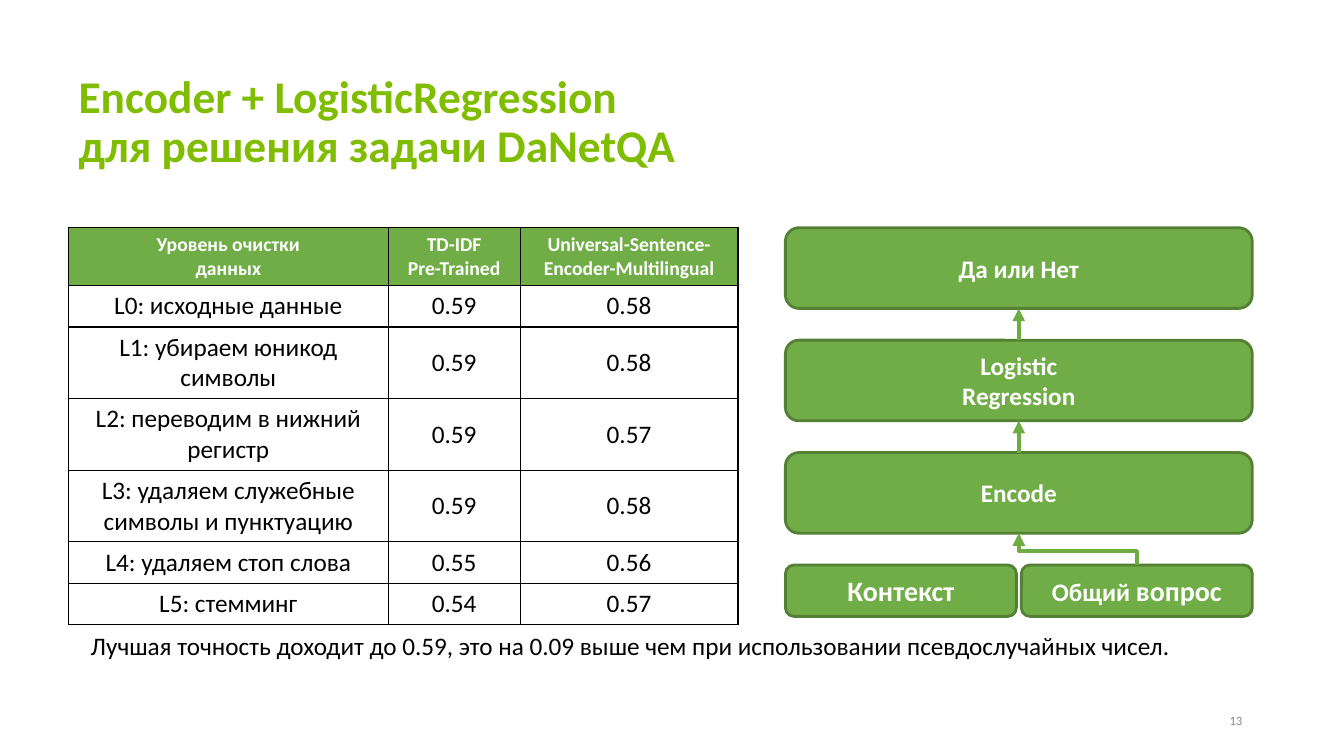
from lxml import etree
from pptx import Presentation
from pptx.dml.color import RGBColor
from pptx.enum.dml import MSO_LINE
from pptx.enum.shapes import MSO_CONNECTOR, MSO_SHAPE
from pptx.enum.text import MSO_ANCHOR, MSO_AUTO_SIZE, PP_ALIGN
from pptx.oxml.ns import qn
from pptx.util import Inches, Pt

SOLID = MSO_LINE.SOLID
STRAIGHT, ELBOW = MSO_CONNECTOR.STRAIGHT, MSO_CONNECTOR.ELBOW
ROUNDED = MSO_SHAPE.ROUNDED_RECTANGLE
TOP, MIDDLE = MSO_ANCHOR.TOP, MSO_ANCHOR.MIDDLE
NO_FIT = MSO_AUTO_SIZE.NONE
LEFT, CENTER, RIGHT = PP_ALIGN.LEFT, PP_ALIGN.CENTER, PP_ALIGN.RIGHT
TOP_SIDE, BOTTOM_SIDE = 0, 2

FONT = "Calibri"
LIME = RGBColor(0x80, 0xBC, 0x00)
GREEN = RGBColor(0x70, 0xAD, 0x47)
DARK_GREEN = RGBColor(0x53, 0x80, 0x35)
ARROW_GREEN = RGBColor(0x6D, 0xAC, 0x43)
GRAY = RGBColor(0x88, 0x88, 0x88)
BLACK = RGBColor(0, 0, 0)
WHITE = RGBColor(0xFF, 0xFF, 0xFF)

MARGIN = 0.68
CONTENT_TOP = 2.26
DIAGRAM_LEFT, DIAGRAM_WIDTH = 7.79, 4.63
STAGE_HEIGHT, STAGE_STEP = 0.8, 1.115
INPUT_WIDTH, INPUT_HEIGHT = 2.29, 0.51

HEADER = ["Уровень очистки\nданных", "TD-IDF\nPre-Trained",
          "Universal-Sentence-Encoder-Multilingual"]
RESULTS = [
    ("L0: исходные данные", "0.59", "0.58"),
    ("L1: убираем юникод символы", "0.59", "0.58"),
    ("L2: переводим в нижний регистр", "0.59", "0.57"),
    ("L3: удаляем служебные символы и пунктуацию", "0.59", "0.58"),
    ("L4: удаляем стоп слова", "0.55", "0.56"),
    ("L5: стемминг", "0.54", "0.57"),
]
COLUMN_WIDTHS = [3.17, 1.31, 2.16]
ROW_HEIGHTS = [0.57, 0.41, 0.71, 0.71, 0.71, 0.41, 0.41]


def place(shape, left, top, width, height):
    shape.left, shape.top = Inches(left), Inches(top)
    shape.width, shape.height = Inches(width), Inches(height)


def format_text(frame, size, color, align, bold=False):
    for paragraph in frame.paragraphs:
        paragraph.alignment = align
        for run in paragraph.runs:
            run.font.name = FONT
            run.font.size = Pt(size)
            run.font.bold = bold
            run.font.color.rgb = color


def fill_placeholder(placeholder, text, size, color, bold=False):
    frame = placeholder.text_frame
    frame.text = text
    frame.auto_size = NO_FIT
    frame.word_wrap = True
    frame.vertical_anchor = TOP
    format_text(frame, size, color, LEFT, bold)
    frame.paragraphs[0].line_spacing = 0.9
    return frame.paragraphs[0]


def add_box(slide, left, top, width, height, label, size=18):
    box = slide.shapes.add_shape(ROUNDED, Inches(left), Inches(top),
                                 Inches(width), Inches(height))
    box.shadow.inherit = False
    box.fill.solid()
    box.fill.fore_color.rgb = GREEN
    box.line.color.rgb = DARK_GREEN
    box.line.width = Pt(2)
    box.text_frame.text = label
    box.text_frame.vertical_anchor = MIDDLE
    format_text(box.text_frame, size, WHITE, CENTER, True)
    return box


def add_arrow_up(slide, lower, upper, kind=STRAIGHT):
    arrow = slide.shapes.add_connector(kind, 0, 0, 0, 0)
    arrow.begin_connect(lower, TOP_SIDE)
    arrow.end_connect(upper, BOTTOM_SIDE)
    arrow.line.color.rgb = ARROW_GREEN
    arrow.line.width = Pt(3)
    line = arrow.line._get_or_add_ln()
    etree.SubElement(line, qn("a:tailEnd"), type="triangle")
    etree.SubElement(arrow._element.spPr, qn("a:effectLst"))
    return arrow


def turn_elbow(arrow, bend):
    """Make an elbow to the upper left leave and arrive vertically."""
    left, top, width, height = arrow.left, arrow.top, arrow.width, arrow.height
    arrow.left = left + (width - height) // 2
    arrow.top = top + (height - width) // 2
    arrow.width, arrow.height = height, width
    properties = arrow._element.spPr
    frame = properties.find(qn("a:xfrm"))
    for name, value in (("rot", "16200000"), ("flipH", "0"), ("flipV", "1")):
        frame.set(name, value)
    guides = properties.find(qn("a:prstGeom")).get_or_add_avLst()
    etree.SubElement(guides, qn("a:gd"), name="adj1", fmla=f"val {bend}")


def add_borders(cell):
    properties = cell._tc.get_or_add_tcPr()
    for side in ("lnL", "lnR", "lnT", "lnB"):
        line = etree.SubElement(properties, qn(f"a:{side}"), w=str(Pt(1)))
        fill = etree.SubElement(line, qn("a:solidFill"))
        etree.SubElement(fill, qn("a:srgbClr"), val=str(BLACK))
        etree.SubElement(line, qn("a:prstDash"), val="solid")


def add_results_table(slide):
    rows = [HEADER, *RESULTS]
    table = slide.shapes.add_table(
        len(rows), len(HEADER), Inches(MARGIN), Inches(CONTENT_TOP),
        Inches(sum(COLUMN_WIDTHS)), Inches(sum(ROW_HEIGHTS))).table
    table.first_row = True
    table.horz_banding = False
    for column, width in zip(table.columns, COLUMN_WIDTHS):
        column.width = Inches(width)
    for row_index, (row, height) in enumerate(zip(rows, ROW_HEIGHTS)):
        table.rows[row_index].height = Inches(height)
        is_header = row_index == 0
        for column_index, text in enumerate(row):
            cell = table.cell(row_index, column_index)
            add_borders(cell)
            cell.fill.solid()
            cell.fill.fore_color.rgb = GREEN if is_header else WHITE
            cell.vertical_anchor = TOP if is_header else MIDDLE
            cell.text_frame.text = text
            format_text(cell.text_frame, 14 if is_header else 18,
                        WHITE if is_header else BLACK, CENTER, is_header)


def add_diagram(slide):
    answer, regression, encoder = [
        add_box(slide, DIAGRAM_LEFT, CONTENT_TOP + level * STAGE_STEP,
                DIAGRAM_WIDTH, STAGE_HEIGHT, label)
        for level, label in enumerate(
            ["Да или Нет", "Logistic\nRegression", "Encode"])]
    input_top = CONTENT_TOP + 3 * STAGE_STEP
    question_left = DIAGRAM_LEFT + DIAGRAM_WIDTH - INPUT_WIDTH
    add_box(slide, DIAGRAM_LEFT, input_top, INPUT_WIDTH, INPUT_HEIGHT,
            "Контекст", 20)
    question = add_box(slide, question_left, input_top, INPUT_WIDTH,
                       INPUT_HEIGHT, "Общий ")
    question.text_frame.paragraphs[0].add_run().text = "вопрос"
    format_text(question.text_frame, 20, WHITE, CENTER, True)
    question.text_frame.paragraphs[0].runs[0].font.size = Pt(18)

    turn_elbow(add_arrow_up(slide, question, encoder, ELBOW), 43400)
    add_arrow_up(slide, encoder, regression)
    add_arrow_up(slide, regression, answer)


def add_slide_number(slide, number):
    box = slide.shapes.add_textbox(Inches(11.67), Inches(6.95),
                                   Inches(0.75), Inches(0.4))
    box.text_frame.word_wrap = True
    box.text_frame.vertical_anchor = MIDDLE
    box.text_frame.text = number
    format_text(box.text_frame, 9, GRAY, RIGHT)


def main():
    deck = Presentation()
    deck.slide_width, deck.slide_height = Inches(13.33), Inches(7.5)
    slide = deck.slides.add_slide(deck.slide_layouts[1])
    title, conclusion = slide.placeholders

    place(title, MARGIN, 0.69, 8.25, 1.01)
    fill_placeholder(
        title, "Encoder + LogisticRegression\vдля решения задачи DaNetQA",
        32.4, LIME, True)

    place(conclusion, MARGIN, 6.24, 11.25, 1.01)
    paragraph = fill_placeholder(
        conclusion, "Лучшая точность доходит до 0.59, это на 0.09 выше чем "
        "при использовании псевдослучайных чисел.", 18, BLACK)
    paragraph.space_before = Pt(0)
    indents = paragraph._p.get_or_add_pPr()
    indents.set("marL", str(Inches(0.12)))
    indents.set("indent", "0")
    etree.SubElement(indents, qn("a:buNone"))

    add_diagram(slide)
    add_results_table(slide)
    add_slide_number(slide, "13")
    deck.save("out.pptx")


if __name__ == "__main__":
    main()
